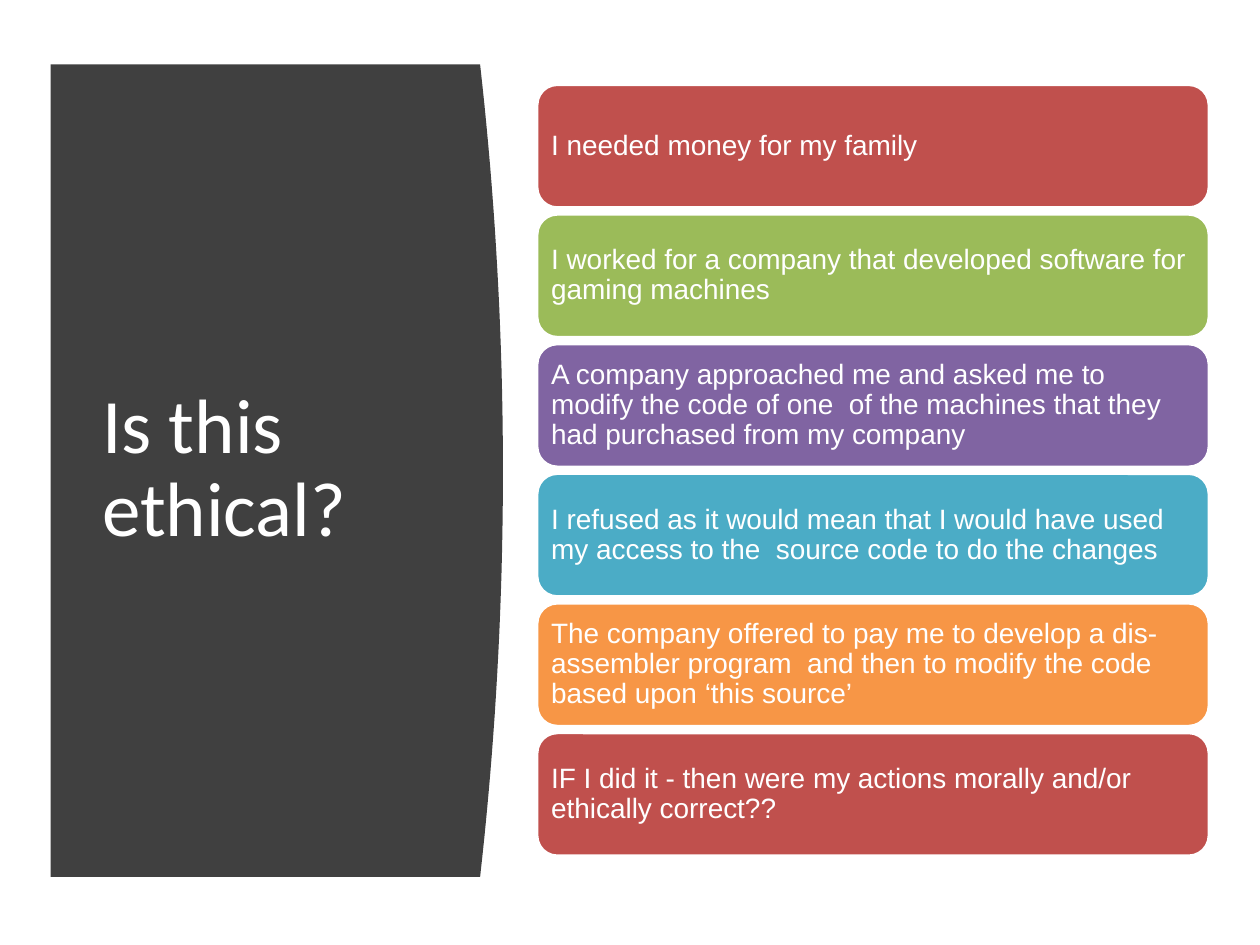
from dataclasses import dataclass

from pptx import Presentation
from pptx.dml.color import RGBColor as RGB
from pptx.enum.shapes import MSO_SHAPE as Shape
from pptx.enum.text import MSO_ANCHOR as Anchor, PP_ALIGN as Align
from pptx.util import Cm, Pt


@dataclass(frozen=True)
class Theme:
    white: RGB = RGB.from_string("FFFFFF")
    panel: RGB = RGB.from_string("404040")
    accents: tuple = tuple(
        RGB.from_string(code)
        for code in ("C0504D", "9BBB59", "8064A2", "4BACC6", "F79646")
    )
    title_font: str = "Calibri"
    body_font: str = "Arial"
    title_size: Pt = Pt(44)
    body_size: Pt = Pt(16)
    border: Pt = Pt(2)


@dataclass(frozen=True)
class Box:
    left: float
    top: float
    width: float
    height: float

    def lengths(self):
        return Cm(self.left), Cm(self.top), Cm(self.width), Cm(self.height)


THEME = Theme()
TITLE = "Is this ethical?"
STATEMENTS = (
    "I needed money for my family",
    "I worked for a company that developed software for gaming machines",
    "A company approached me and asked me to modify the code of one  of the "
    "machines that they had purchased from my company",
    "I refused as it would mean that I would have used my access to the  "
    "source code to do the changes",
    "The company offered to pay me to develop a dis-assembler program  and "
    "then to modify the code based upon ‘this source’",
    "IF I did it - then were my actions morally and/or ethically correct??",
)


def set_values(target, values):
    for name, value in values.items():
        setattr(target, name, value)


def write_text(shape, text, font, size, inset):
    frame = shape.text_frame
    sides = ("left", "top", "right", "bottom")
    set_values(frame, {"word_wrap": True, "vertical_anchor": Anchor.MIDDLE})
    set_values(frame, {f"margin_{side}": Cm(inset) for side in sides})
    paragraph = frame.paragraphs[0]
    set_values(paragraph, {"text": text, "alignment": Align.LEFT, "line_spacing": 0.9})
    set_values(paragraph.runs[0].font, {"name": font, "size": size})
    paragraph.runs[0].font.color.rgb = THEME.white


def add_title_panel(slide, box, bulge=0.46, steps=40):
    # Dark panel whose right side is a shallow parabola
    straight = box.width - bulge
    curve = []
    for step in range(steps + 1):
        part = step / steps
        reach = straight + bulge * 4 * part * (1 - part)
        curve.append((Cm(box.left + reach), Cm(box.top + box.height * part)))
    builder = slide.shapes.build_freeform(Cm(box.left), Cm(box.top))
    builder.add_line_segments(curve + [(Cm(box.left), Cm(box.top + box.height))])
    panel = builder.convert_to_shape()
    panel.shadow.inherit = False
    panel.fill.solid()
    panel.fill.fore_color.rgb = THEME.panel
    panel.line.fill.background()

    # Title, centred vertically on the panel
    title_box = Box(box.left + 0.79, box.top + 1.52, 7.11, box.height - 3.06)
    title = slide.shapes.add_textbox(*title_box.lengths())
    write_text(title, TITLE, THEME.title_font, THEME.title_size, 0.25)


def add_statements(slide, box, gap=0.12):
    # Equal rounded bars, cycling through the accent colours
    count = len(STATEMENTS)
    height = (box.height - gap * (count - 1)) / count
    for index, statement in enumerate(STATEMENTS):
        bar_box = Box(box.left, box.top + index * (height + gap), box.width, height)
        bar = slide.shapes.add_shape(Shape.ROUNDED_RECTANGLE, *bar_box.lengths())
        bar.shadow.inherit = False
        bar.fill.solid()
        bar.fill.fore_color.rgb = THEME.accents[index % len(THEME.accents)]
        bar.line.color.rgb = THEME.white
        bar.line.width = THEME.border
        write_text(bar, statement, THEME.body_font, THEME.body_size, 0.17)


def main():
    presentation = Presentation()
    set_values(presentation, {"slide_width": Cm(25.4), "slide_height": Cm(19.05)})
    slide = presentation.slides.add_slide(presentation.slide_layouts[6])
    add_title_panel(slide, Box(1.02, 1.3, 9.12, 16.38))
    add_statements(slide, Box(10.82, 1.7, 13.56, 15.56))
    presentation.save("out.pptx")


if __name__ == "__main__":
    main()
